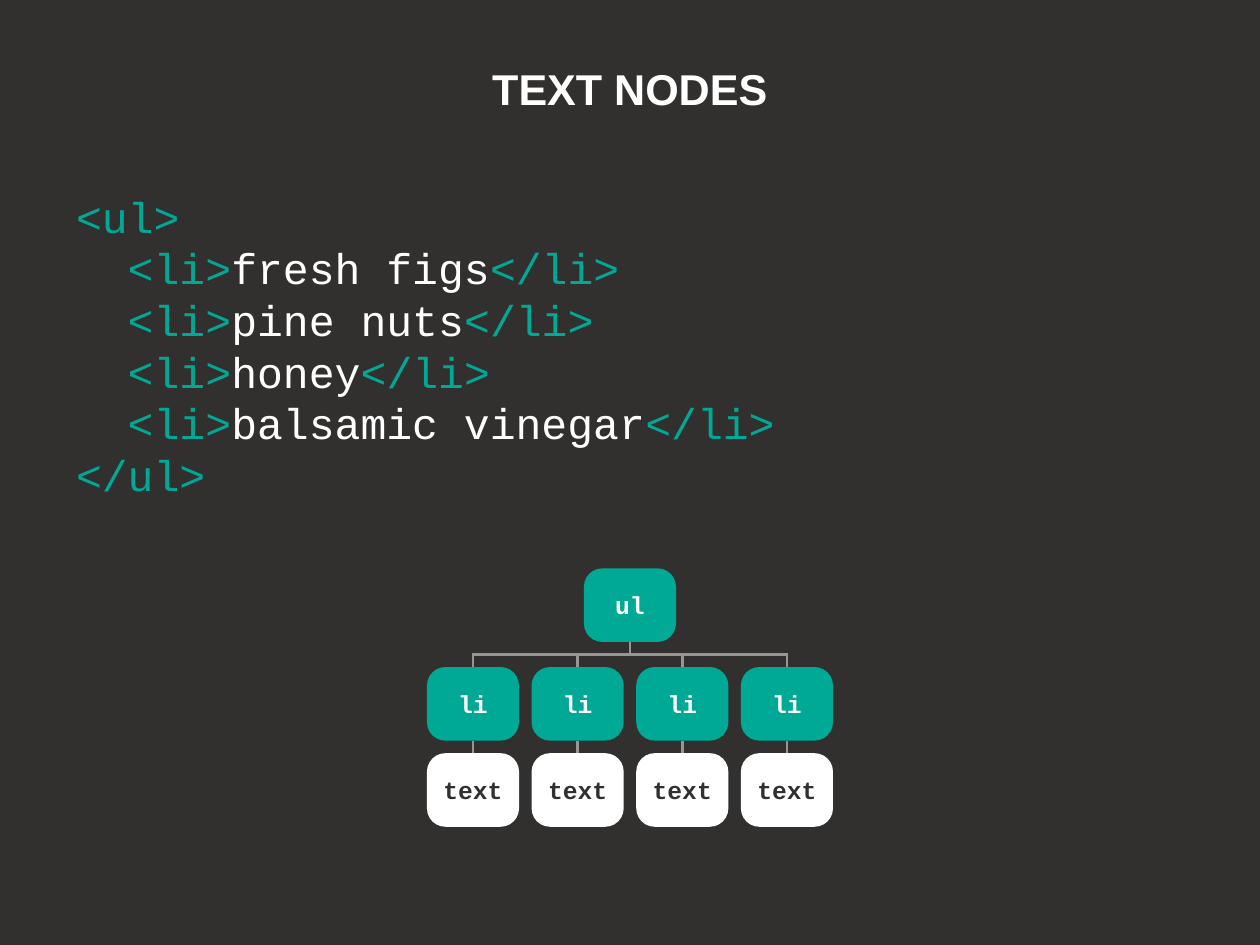
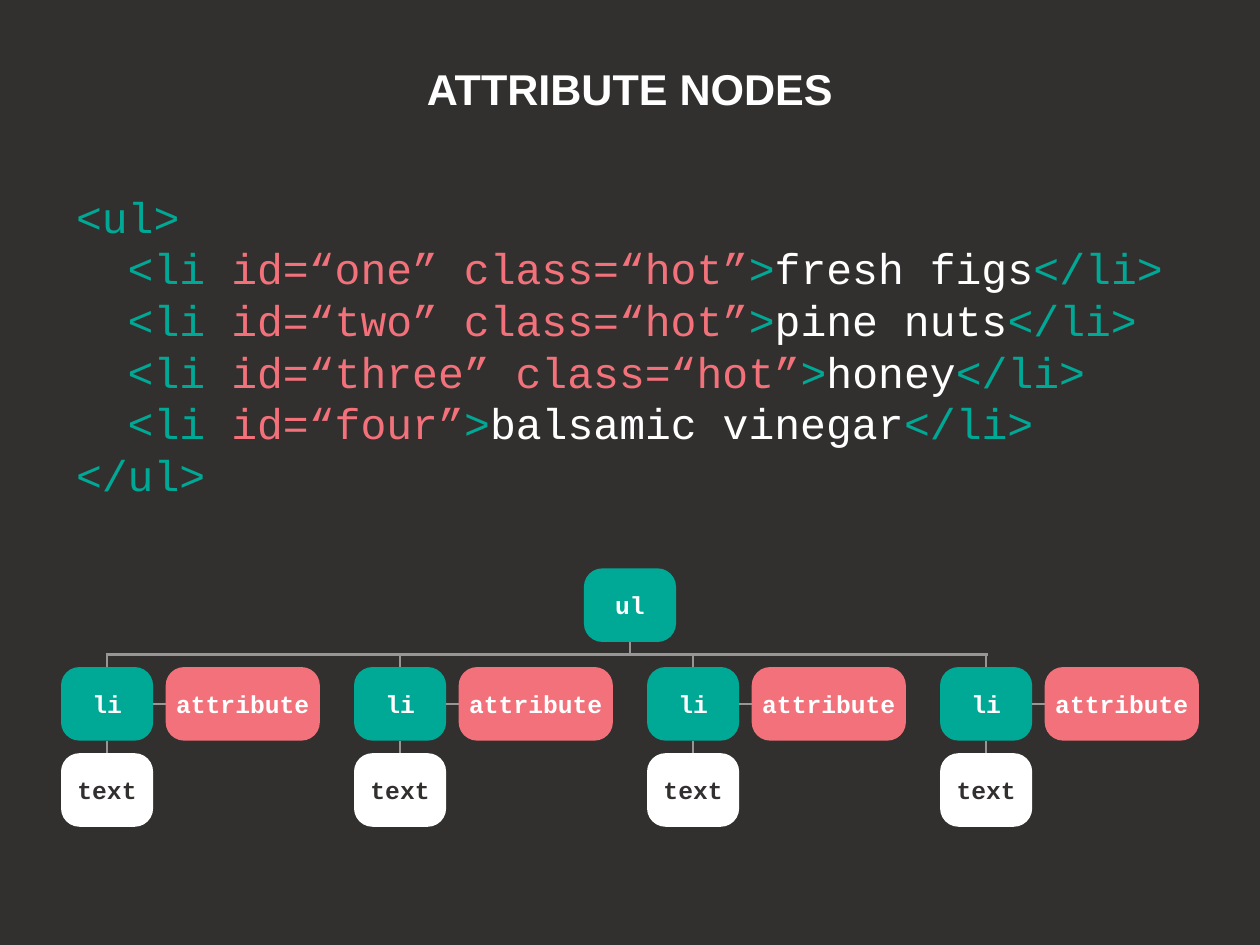
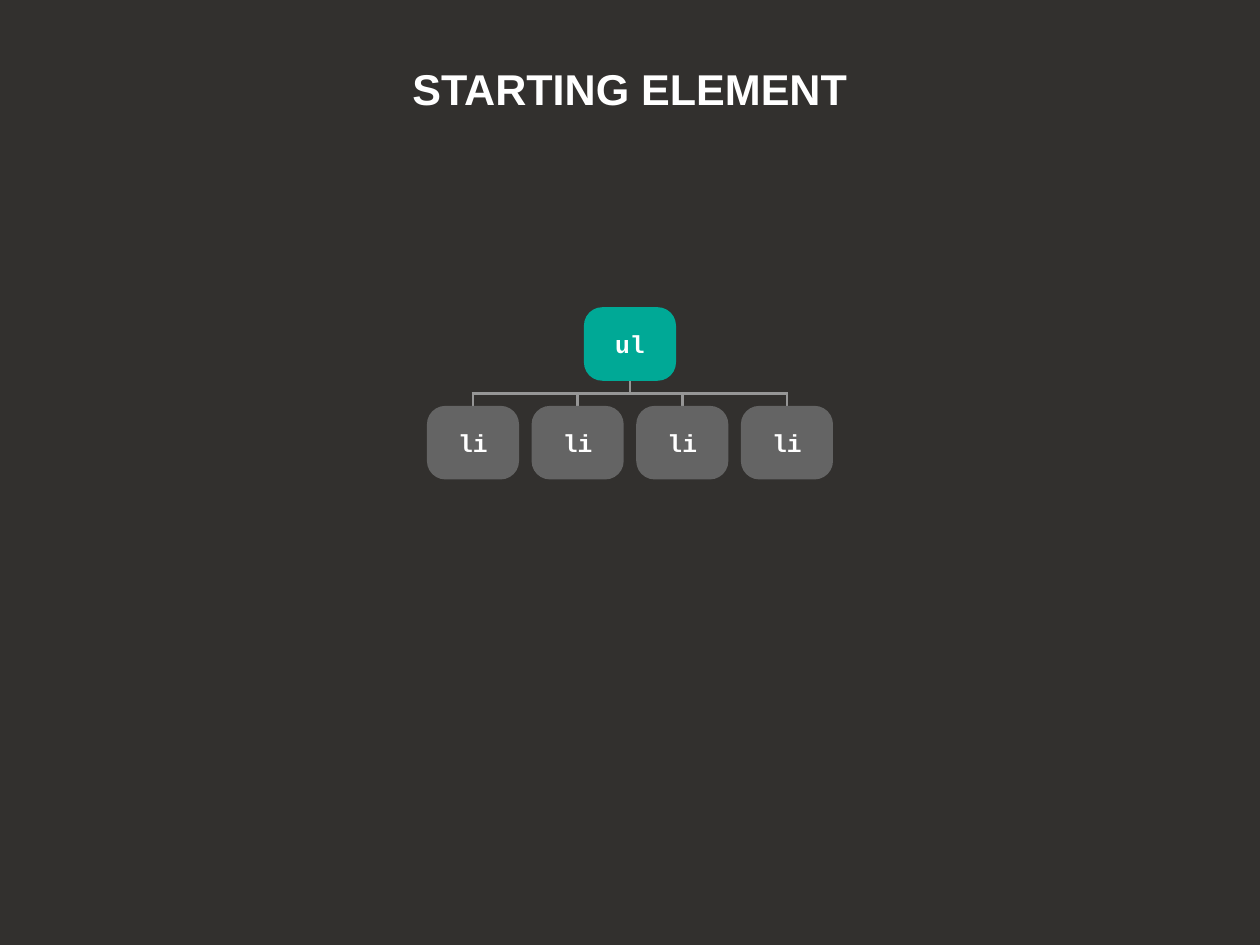
from dataclasses import dataclass
from typing import NamedTuple

from lxml.etree import SubElement
from pptx import Presentation
from pptx.dml.color import RGBColor as RGB
from pptx.enum.shapes import MSO_CONNECTOR as Link, MSO_SHAPE as Kind
from pptx.enum.text import MSO_ANCHOR as Anchor, MSO_AUTO_SIZE as Auto, PP_ALIGN as Align
from pptx.oxml.ns import qn
from pptx.slide import Slide
from pptx.util import Cm, Pt


@dataclass(frozen=True)
class Theme:
    dark: RGB = RGB(0x32, 0x30, 0x2E)
    white: RGB = RGB(0xFF, 0xFF, 0xFF)
    teal: RGB = RGB(0x00, 0xA9, 0x96)
    coral: RGB = RGB(0xF2, 0x71, 0x7A)
    grey: RGB = RGB(0x64, 0x64, 0x64)
    rule: RGB = RGB(0x96, 0x96, 0x96)
    sans: str = "Arial"
    mono: str = "Courier New"
    large: Pt = Pt(35)
    small: Pt = Pt(20)
    lead: Pt = Pt(42)
    line: Pt = Pt(2)


class Item(NamedTuple):
    text: str
    attrs: str = ""


class Node(NamedTuple):
    text: str
    fill: RGB
    ink: RGB
    width: float


@dataclass(frozen=True)
class Tree:
    top: float
    pitch: float
    item: Node
    leaf: Node | None = None
    side: Node | None = None


@dataclass(frozen=True)
class Page:
    title: str
    tree: Tree
    items: tuple[Item, ...] = ()


THEME = Theme()
WIDE, HIGH = 36.12, 27.1
BOX_W, BOX_H, GAP = 2.64, 2.11, 0.36
COUNT = 4

ROOT = Node("ul", THEME.teal, THEME.white, BOX_W)
ITEM = Node("li", THEME.teal, THEME.white, BOX_W)
PALE = Node("li", THEME.grey, THEME.white, BOX_W)
LEAF = Node("text", THEME.white, THEME.dark, BOX_W)
SIDE = Node("attribute", THEME.coral, THEME.white, 4.42)

PAGES = (
    Page(
        "TEXT NODES",
        Tree(16.3, BOX_W + GAP, ITEM, LEAF),
        (
            Item("fresh figs"),
            Item("pine nuts"),
            Item("honey"),
            Item("balsamic vinegar"),
        ),
    ),
    Page(
        "ATTRIBUTE NODES",
        Tree(16.3, 8.4, ITEM, LEAF, SIDE),
        (
            Item("fresh figs", "id=“one” class=“hot”"),
            Item("pine nuts", "id=“two” class=“hot”"),
            Item("honey", "id=“three” class=“hot”"),
            Item("balsamic vinegar", "id=“four”"),
        ),
    ),
    Page("STARTING ELEMENT", Tree(8.81, BOX_W + GAP, PALE)),
)


def strip(frame) -> None:
    frame.margin_left = frame.margin_right = 0
    frame.margin_top = frame.margin_bottom = 0
    frame.word_wrap = True
    frame.auto_size = Auto.NONE


def draw_title(slide: Slide, text: str) -> None:
    title = slide.shapes.title
    title.left, title.top = Cm(0), Cm(1.75)
    title.width, title.height = Cm(WIDE), Cm(1.75)
    frame = title.text_frame
    strip(frame)
    frame.vertical_anchor = Anchor.MIDDLE
    frame.text = text
    para = frame.paragraphs[0]
    para.alignment = Align.CENTER
    para.line_spacing = 0.9
    font = para.font
    font.name, font.size, font.bold = THEME.sans, THEME.large, True
    font.color.rgb = THEME.white


def code_runs(item: Item) -> list[tuple[str, RGB]]:
    if item.attrs:
        start = [("  <li ", THEME.teal), (item.attrs, THEME.coral), (">", THEME.teal)]
    else:
        start = [("  <li>", THEME.teal)]
    return [*start, (item.text, THEME.white), ("</li>", THEME.teal)]


def draw_code(slide: Slide, items: tuple[Item, ...]) -> None:
    frame = slide.shapes.add_textbox(Cm(2.18), Cm(5.28), Cm(31.75), Cm(8.81)).text_frame
    strip(frame)
    frame.margin_top = Cm(0.17)
    lines = [[("<ul>", THEME.teal)], *map(code_runs, items), [("</ul>", THEME.teal)]]
    for row, runs in enumerate(lines):
        para = frame.add_paragraph() if row else frame.paragraphs[0]
        para.line_spacing = THEME.lead
        para.font.name, para.font.size = THEME.mono, THEME.large
        for text, ink in runs:
            run = para.add_run()
            run.text = text
            run.font.color.rgb = ink


def draw_node(slide: Slide, node: Node, left: float, top: float) -> None:
    box = slide.shapes.add_shape(
        Kind.ROUNDED_RECTANGLE, Cm(left), Cm(top), Cm(node.width), Cm(BOX_H)
    )
    box.adjustments[0] = 0.25
    box.shadow.inherit = False
    box.fill.solid()
    box.fill.fore_color.rgb = node.fill
    box.line.fill.background()
    frame = box.text_frame
    strip(frame)
    frame.vertical_anchor = Anchor.MIDDLE
    frame.text = node.text
    para = frame.paragraphs[0]
    para.alignment = Align.CENTER
    font = para.font
    font.name, font.size, font.bold = THEME.mono, THEME.small, True
    font.color.rgb = node.ink


def draw_line(slide: Slide, x: float, y: float, dx: float = 0, dy: float = 0) -> None:
    line = slide.shapes.add_connector(
        Link.STRAIGHT, Cm(x), Cm(y), Cm(x + dx), Cm(y + dy)
    )
    line.line.color.rgb = THEME.rule
    line.line.width = THEME.line
    SubElement(line._element.spPr, qn("a:effectLst"))


def draw_tree(slide: Slide, tree: Tree) -> None:
    extra = GAP + tree.side.width if tree.side else 0
    span = (COUNT - 1) * tree.pitch
    first = (WIDE - span - BOX_W - extra) / 2
    bar = tree.top + BOX_H + GAP
    top = bar + GAP
    base = top + BOX_H

    draw_node(slide, ROOT, (WIDE - BOX_W) / 2, tree.top)
    draw_line(slide, WIDE / 2, bar - GAP, dy=GAP)
    draw_line(slide, first + BOX_W / 2 - 0.04, bar, dx=span + 0.08)
    for index in range(COUNT):
        left = first + index * tree.pitch
        mid = left + BOX_W / 2
        draw_line(slide, mid, bar, dy=GAP)
        draw_node(slide, tree.item, left, top)
        if tree.leaf:
            draw_line(slide, mid, base, dy=GAP)
            draw_node(slide, tree.leaf, left, base + GAP)
        if tree.side:
            draw_line(slide, left + BOX_W, top + BOX_H / 2, dx=GAP)
            draw_node(slide, tree.side, left + BOX_W + GAP, top)


def main() -> None:
    deck = Presentation()
    deck.slide_width, deck.slide_height = Cm(WIDE), Cm(HIGH)
    fill = deck.slide_master.background.fill
    fill.solid()
    fill.fore_color.rgb = THEME.dark
    for page in PAGES:
        slide = deck.slides.add_slide(deck.slide_layouts[5])
        draw_title(slide, page.title)
        if page.items:
            draw_code(slide, page.items)
        draw_tree(slide, page.tree)
    deck.save("out.pptx")


if __name__ == "__main__":
    main()
